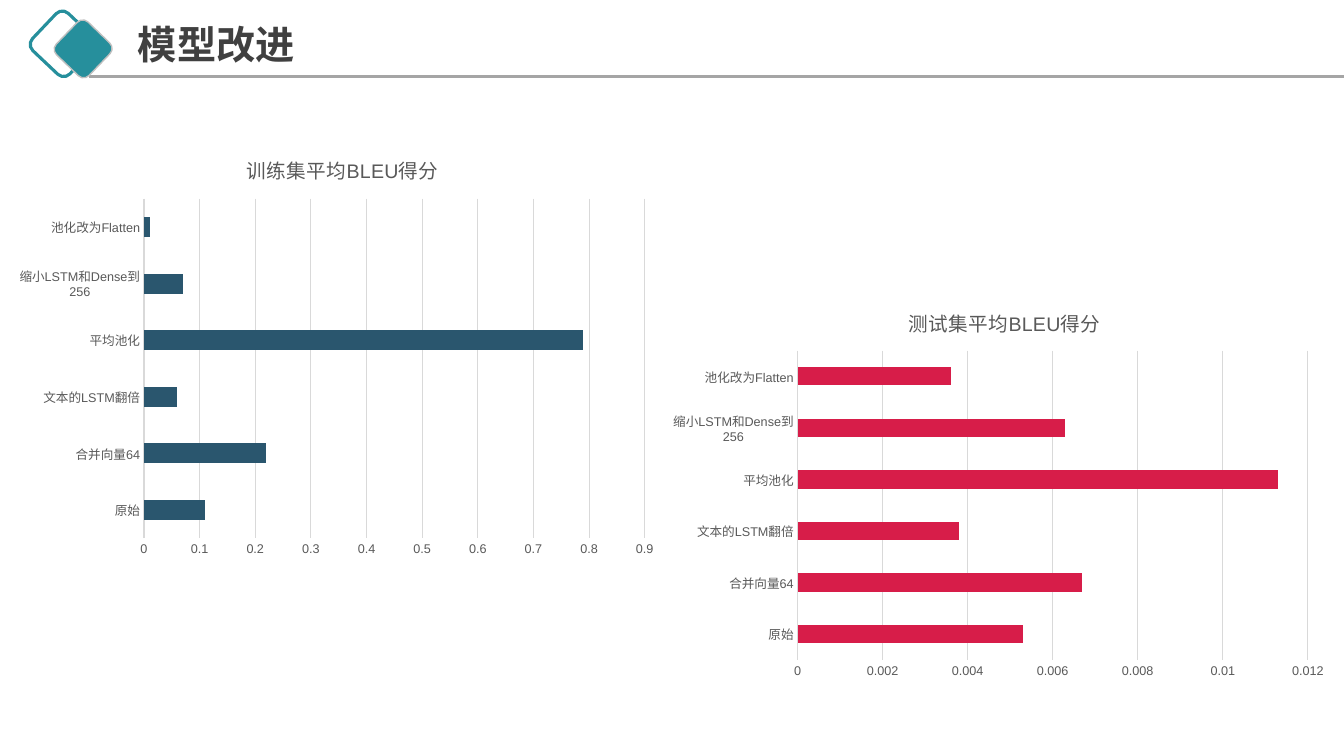
from pptx import Presentation
from pptx.chart.data import CategoryChartData
from pptx.dml.color import RGBColor
from pptx.enum.chart import XL_CHART_TYPE, XL_TICK_MARK
from pptx.enum.shapes import MSO_CONNECTOR, MSO_SHAPE
from pptx.enum.text import MSO_ANCHOR
from pptx.oxml.ns import qn
from pptx.util import Pt
from lxml.etree import SubElement

PX = 9144
WIDE, HIGH = 1333, 750
COLORS = {
    "teal": "268F9C", "edge": "BFBFBF", "rule": "A5A5A5", "title": "404040",
    "label": "595959", "grid": "D9D9D9", "train": "2A566E", "test": "D71D49",
}
SANS, HAN = "Arial", "Noto Sans CJK SC"
CATS = ["原始", "合并向量64", "文本的LSTM翻倍", "平均池化",
        "缩小LSTM和Dense到256", "池化改为Flatten"]
CHARTS = [
    ("训练集平均BLEU得分", (19, 135, 642, 426), "train",
     [0.11, 0.22, 0.06, 0.79, 0.07, 0.01], 0.9, 0.1),
    ("测试集平均BLEU得分", (667, 287, 659, 394), "test",
     [0.0053, 0.0067, 0.0038, 0.0113, 0.0063, 0.0036], 0.012, 0.002),
]


def emu(*sizes):
    """Turn px lengths into EMU."""
    return [size * PX for size in sizes]


def color(name):
    """Look up a colour by name."""
    return RGBColor.from_string(COLORS[name])


def style(font, size, tint, face=SANS):
    """Set the size, colour and face of a font."""
    font.size, font.name = Pt(size), face
    font.color.rgb = color(tint)


def stroke(line, tint, width):
    """Set the colour and width of a line."""
    line.color.rgb = color(tint)
    line.width = Pt(width)


def diamond(slide, box, turn, edge, width, fill=None):
    """Draw a turned rounded square."""
    shape = slide.shapes.add_shape(MSO_SHAPE.ROUNDED_RECTANGLE, *emu(*box))
    shape.shadow.inherit = False
    shape.rotation = turn
    stroke(shape.line, edge, width)
    if fill:
        shape.fill.solid()
        shape.fill.fore_color.rgb = color(fill)
    else:
        shape.fill.background()


def header(slide, box, text):
    """Draw the diamonds, the rule and the slide title."""
    left, top, width, height = box
    diamond(slide, (left + 37, top + 18, 51, 51), 43.4, "teal", 2.25)
    base = top + height
    rule = slide.shapes.add_connector(
        MSO_CONNECTOR.STRAIGHT, *emu(left + 88, base, left + width, base))
    stroke(rule.line, "rule", 2.25)
    SubElement(rule._element.spPr, qn("a:effectLst"))
    diamond(slide, (left + 60, top + 26, 45, 45), 43.9, "edge", 1, "teal")
    label = slide.shapes.add_textbox(*emu(left + 127, top + 17, 571, 59))
    frame = label.text_frame
    frame.word_wrap = True
    frame.vertical_anchor = MSO_ANCHOR.MIDDLE
    para = frame.paragraphs[0]
    para.line_spacing = 0.9
    run = para.add_run()
    run.text = text
    style(run.font, 28, "title", HAN)
    run.font.bold = True
    SubElement(run.font._element, qn("a:ea")).set("typeface", HAN)


def bars(slide, box, title, tint, values, top, step):
    """Draw a bar chart of the scores in the given box."""
    data = CategoryChartData()
    data.categories = CATS
    data.add_series(title, values)
    chart = slide.shapes.add_chart(
        XL_CHART_TYPE.BAR_CLUSTERED, *emu(*box), data).chart
    chart.has_legend = False
    chart.font.size, chart.font.name = Pt(10), SANS
    chart.has_title = True
    run = chart.chart_title.text_frame.paragraphs[0].add_run()
    run.text = title
    style(run.font, 14, "label")
    run.font.bold = False
    chart.chart_title.include_in_layout = False
    plot = chart.plots[0]
    plot.gap_width = 182
    plot.vary_by_categories = False
    fill = plot.series[0].format.fill
    fill.solid()
    fill.fore_color.rgb = color(tint)
    cat, val = chart.category_axis, chart.value_axis
    for axis in (cat, val):
        axis.major_tick_mark = axis.minor_tick_mark = XL_TICK_MARK.NONE
        style(axis.tick_labels.font, 9, "label")
    stroke(cat.format.line, "grid", 0.75)
    val.format.line.fill.background()
    val.has_major_gridlines = True
    stroke(val.major_gridlines.format.line, "grid", 0.75)
    val.minimum_scale, val.maximum_scale, val.major_unit = 0, top, step
    val.tick_labels.number_format = "General"
    val.tick_labels.number_format_is_linked = False


def main():
    """Build the slide and save it."""
    deck = Presentation()
    deck.slide_width, deck.slide_height = emu(WIDE, HIGH)
    slide = deck.slides.add_slide(deck.slide_layouts[6])
    header(slide, (0, 0, WIDE, 76), "模型改进")
    for title, box, tint, values, top, step in CHARTS:
        bars(slide, box, title, tint, values, top, step)
    deck.save("out.pptx")


if __name__ == "__main__":
    main()
